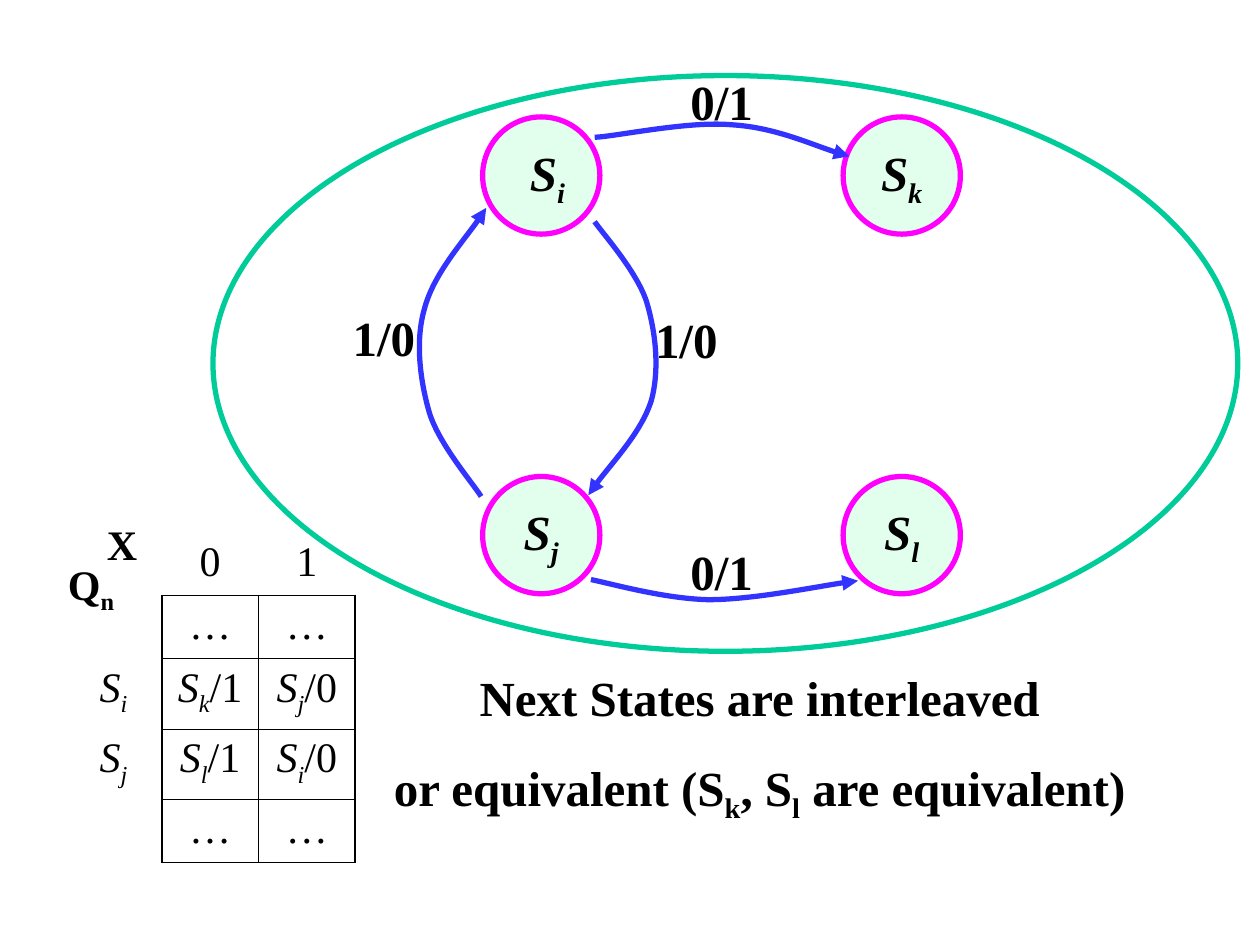
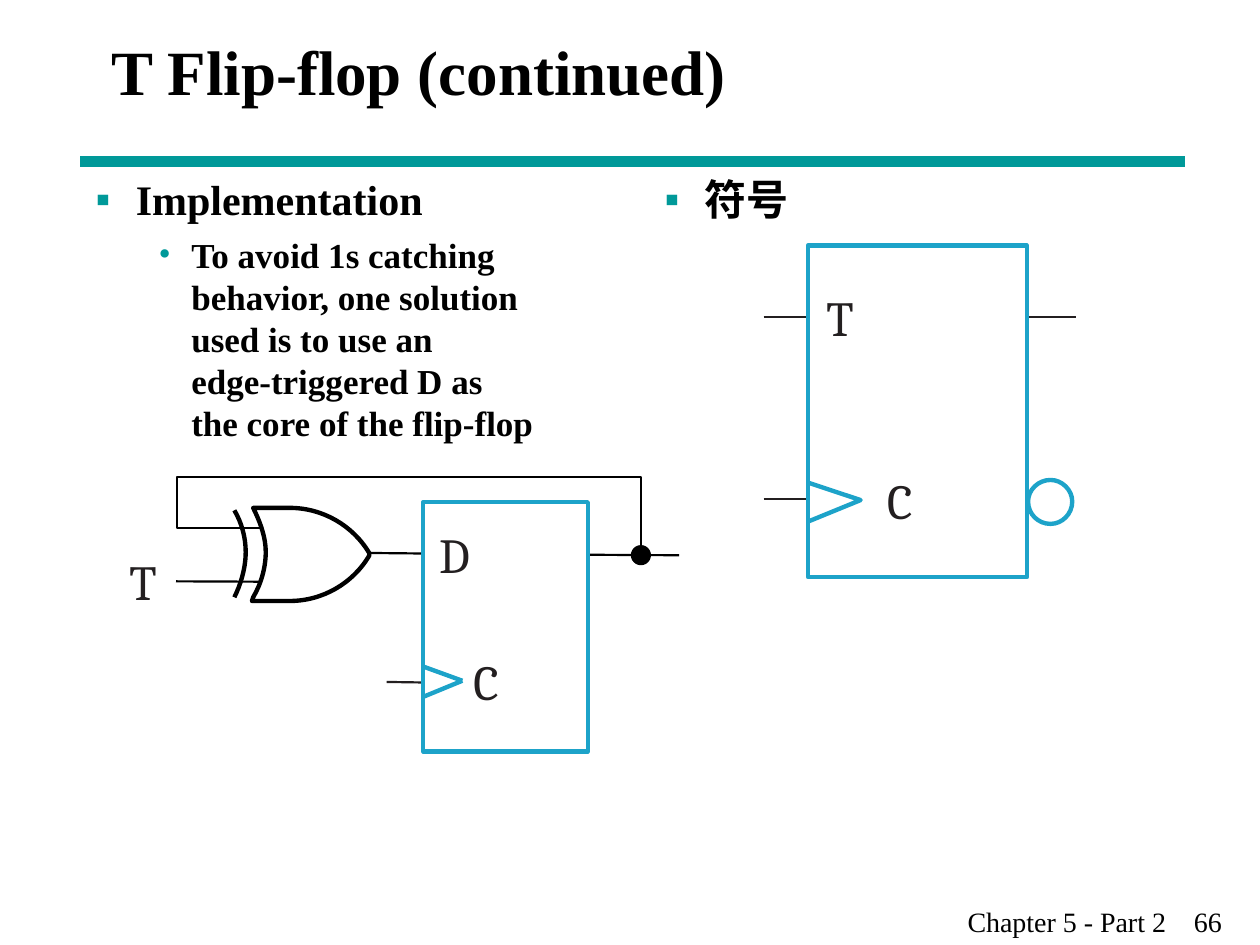
from lxml.etree import SubElement
from pptx import Presentation
from pptx.dml.color import RGBColor
from pptx.enum.shapes import MSO_CONNECTOR, MSO_SHAPE
from pptx.enum.text import MSO_ANCHOR, PP_ALIGN
from pptx.oxml.ns import qn
from pptx.util import Pt

BLACK, INK, WHITE = "000000", "231F20", "FFFFFF"
TEAL, CYAN, BLUE = "009999", "1DA3C9", "3333FF"
MAGENTA, MINT, GREEN = "FF00FF", "E2FEED", "00CC99"
SERIF, SYMBOL_FONT = "Times New Roman", "Cambria"
hex_color = RGBColor.from_string


def write(tf, text, size, bold=False, italic=False, align=None,
          font=SERIF, color=BLACK, wrap=False):
    """Fill a text frame; parts between ~ marks are subscripts."""
    tf.word_wrap = wrap
    for n, line in enumerate(text.split("\n")):
        p = tf.add_paragraph() if n else tf.paragraphs[0]
        p.alignment = align
        parts = line.split("~")
        p.text = parts[0]
        for part in parts[1:]:
            p.add_run().text = part
        for k, r in enumerate(p.runs):
            r.font.name, r.font.size = font, Pt(size)
            r.font.bold = bold
            r.font.italic = italic and not r.text.startswith("/")
            r.font.color.rgb = hex_color(color)
            if "~" in line and k % 2:
                r.font._element.set("baseline", "-25000")


def outline(s, start, segments, color, width, fill=None, arrow=False, close=False):
    """Draw a path: one point is a line, three a Bezier curve, ("move", point) a jump."""
    fb = s.shapes.build_freeform(Pt(start[0]), Pt(start[1]), scale=1.0)
    for seg in segments:
        if seg[0] == "move":
            fb.move_to(Pt(seg[1][0]), Pt(seg[1][1]))
        else:
            fb.add_line_segments([(Pt(x), Pt(y)) for x, y in seg],
                                 close=close and seg is segments[-1])
    sp = fb.convert_to_shape()
    # Join each three control points into one curve
    steps = iter(list(sp._element.iter(qn("a:lnTo"))))
    for seg in segments:
        if seg[0] == "move":
            continue
        first, *others = [next(steps) for _ in seg]
        if others:
            first.tag = qn("a:cubicBezTo")
            for step in others:
                first.append(step[0])
                step.getparent().remove(step)
    sp.shadow.inherit = False
    if fill:
        sp.fill.solid()
        sp.fill.fore_color.rgb = hex_color(fill)
    else:
        sp.fill.background()
    sp.line.color.rgb, sp.line.width = hex_color(color), Pt(width)
    if arrow:
        SubElement(sp.line._get_or_add_ln(), qn("a:tailEnd"), type="triangle")
    return sp


prs = Presentation()
prs.slide_width, prs.slide_height = Pt(720), Pt(540)

# Slide 1: state diagram
s = prs.slides.add_slide(prs.slide_layouts[6])

tf = s.shapes.add_textbox(Pt(217.4), Pt(378), Pt(433.4), Pt(96.5)).text_frame
write(tf, "Next States are interleaved\nor equivalent (S~k~, S~l~ are equivalent)",
      28, bold=True, align=PP_ALIGN.CENTER)
tf.paragraphs[1].space_before = Pt(17.5)

# States on a square grid
for n, state in enumerate([" S~i", "S~k", "S~j", "S~l"]):
    row, col = divmod(n, 2)
    sp = s.shapes.add_shape(MSO_SHAPE.OVAL, Pt(275.8 + 206 * col),
                            Pt(66.8 + 205.5 * row), Pt(67), Pt(67))
    sp.shadow.inherit = False
    sp.fill.solid()
    sp.fill.fore_color.rgb = hex_color(MINT)
    sp.line.color.rgb, sp.line.width = hex_color(MAGENTA), Pt(3)
    sp.text_frame.vertical_anchor = MSO_ANCHOR.MIDDLE
    write(sp.text_frame, state, 28, bold=True, italic=True, align=PP_ALIGN.CENTER)

# Transitions, with the rotation of each curve
transitions = [
    (0, (339.8, 126.7), [((344.9, 133.9), (363.6, 154.8), (369.4, 172.1)),
                         ((374.4, 188.6), (377.3, 210.2), (372.2, 229)),
                         ((366.5, 247), (343.4, 271.4), (336.2, 283))]),
    (0, (275, 283.7), [((270, 275.8), (251.3, 254.2), (245.5, 236.2)),
                       ((240.5, 218.9), (236.9, 195.8), (242.6, 176.4)),
                       ((247.7, 157), (270.7, 131), (277.9, 118.8))]),
    (339.2, (346.5, 53), [((358.9, 57), (399.7, 63.2), (421.8, 73.9)),
                          ((444.2, 83.9), (466.5, 106.3), (478.7, 114.8))]),
    (0, (337.7, 331.2), [((351.4, 334.1), (379.4, 342), (404.6, 342.7)),
                         ((429.8, 342.7), (475.9, 333.4), (490.3, 331.9))]),
]
for rotation, start, curves in transitions:
    sp = outline(s, start, curves, BLUE, 3, arrow=True)
    sp.rotation = rotation

# Transition labels and table corner headings
for x, y, w, text, size in [
        (367.2, 173.5, 54, "1/0", 28), (194.4, 172, 54, "1/0", 28),
        (387.4, 37.6, 54, "0/1", 28), (387.4, 306, 54, "0/1", 28),
        (31.7, 315.4, 46, "Q~n", 24), (54, 292.6, 36, "X", 24)]:
    tf = s.shapes.add_textbox(Pt(x), Pt(y), Pt(w), Pt(41)).text_frame
    write(tf, text, size, bold=True)

# Enclosing ellipse
sp = s.shapes.add_shape(MSO_SHAPE.OVAL, Pt(121.7), Pt(43.2), Pt(585.6), Pt(329))
sp.shadow.inherit = False
sp.fill.background()
sp.line.color.rgb, sp.line.width = hex_color(GREEN), Pt(3)

# State table
rows = [["", "0", "1"], ["", "…", "…"], ["S~i", "S~k~/1", "S~j~/0"],
        ["S~j", "S~l~/1", "S~i~/0"], ["", "…", "…"]]
heights = [36, 36, 40.3, 40.3, 36]
table = s.shapes.add_table(5, 3, Pt(37.2), Pt(304.2), Pt(165.9), Pt(sum(heights))).table
table.first_row = table.horz_banding = False
for col in table.columns:
    col.width = Pt(55.3)
for i, texts in enumerate(rows):
    table.rows[i].height = Pt(heights[i])
    for j, text in enumerate(texts):
        cell = table.cell(i, j)
        write(cell.text_frame, text, 24, italic=text.startswith("S"),
              align=PP_ALIGN.CENTER, wrap=True)
        tc_pr = cell._tc.get_or_add_tcPr()
        # Edge position, thin inner edges, and whether the edge is in the grid
        for tag, edge, inner, drawn in [
                ("a:lnL", j, (2,), i and j), ("a:lnR", j + 1, (2,), i),
                ("a:lnT", i, (2, 3, 4), i and j), ("a:lnB", i + 1, (2, 3, 4), j)]:
            width = 0.45 if edge in inner else 1.08
            ln = SubElement(tc_pr, qn(tag), w=str(Pt(width)))
            if drawn:
                fill = SubElement(ln, qn("a:solidFill"))
                SubElement(fill, qn("a:srgbClr"), val=BLACK)
            else:
                SubElement(ln, qn("a:noFill"))
        cell.fill.background()

# Slide 2: T flip-flop
s = prs.slides.add_slide(prs.slide_layouts[6])

# Title and footer
tf = s.shapes.add_textbox(Pt(56.4), Pt(0), Pt(612), Pt(80.6)).text_frame
tf.vertical_anchor = MSO_ANCHOR.MIDDLE
write(tf, "T Flip-flop (continued)", 36, bold=True, wrap=True)
tf = s.shapes.add_textbox(Pt(545.8), Pt(513.4), Pt(174.2), Pt(26.6)).text_frame
write(tf, "Chapter 5 - Part 2\t66", 16, wrap=True)
tabs = SubElement(tf.paragraphs[0]._p.get_or_add_pPr(), qn("a:tabLst"))
SubElement(tabs, qn("a:tab"), pos=str(Pt(129.3)), algn="l")

# Bulleted text
implementation = ("Implementation\nTo avoid 1s catching\vbehavior, one solution\v"
                  "used is to use an\vedge-triggered D as\vthe core of the flip-flop")
for x, h, text in [(47.5, 167, implementation), (372.7, 49.7, "符号")]:
    tf = s.shapes.add_textbox(Pt(x), Pt(95.8), Pt(272.9), Pt(h)).text_frame
    write(tf, text, 24, bold=True, wrap=True)
    for p, mark, left, hang, size in zip(tf.paragraphs, "▪•", (23, 54.7),
                                         (23, 18.7), (24, 20)):
        if size == 20:
            p.space_before = Pt(5)
        p_pr = p._p.get_or_add_pPr()
        p_pr.set("marL", str(Pt(left)))
        p_pr.set("indent", str(-Pt(hang)))
        SubElement(SubElement(p_pr, qn("a:buClr")), qn("a:srgbClr"), val=TEAL)
        SubElement(p_pr, qn("a:buFont"), typeface=SERIF)
        SubElement(p_pr, qn("a:buChar"), char=mark)
        for r in p.runs:
            r.font.size = Pt(size)

# XOR gate
outline(s, (144.7, 341.3), [
    ((149, 334.1), (151.9, 324.7), (151.9, 315.4)),
    ((151.9, 307.4), (149, 298.8), (144.7, 290.2)),
    ((165.6, 290.2),),
    ((184.3, 290.2), (201.6, 300.2), (211, 316)),
    ((211, 317.5),),
    ((201.6, 333.4), (184.3, 343.4), (165.6, 343.4)),
    ((144, 343.4),)], BLACK, 2.5, fill=WHITE, close=True)
outline(s, (133.9, 341.3), [
    ((137.5, 334.1), (140.4, 324.7), (140.4, 315.4)),
    ((140.4, 307.4), (138.2, 298.8), (133.9, 291.6))], BLACK, 2.5)

# Feedback wire
outline(s, (366.3, 316.8), [((366.3, 272.5),), ((101.2, 272.5),),
                            ((101.2, 301.7),), ((149.8, 301.7),)], BLACK, 1.25)

# Title rule and straight wires
for x1, y1, x2, y2, color, width in [
        (45.8, 92.2, 677, 92.2, TEAL, 6),
        (335.5, 317, 388.1, 317.3, BLACK, 1.25),
        (221, 389.7, 241.9, 390, INK, 1.25),
        (211, 316, 241.9, 316.3, BLACK, 1.25),
        (100.6, 332.2, 148.3, 332.4, BLACK, 1.25)]:
    line = s.shapes.add_connector(MSO_CONNECTOR.STRAIGHT, Pt(x1), Pt(y1), Pt(x2), Pt(y2))
    line.line.color.rgb, line.line.width = hex_color(color), Pt(width)
    SubElement(line._element.spPr, qn("a:effectLst"))

# D flip-flop body and junction dot
sp = s.shapes.add_shape(MSO_SHAPE.RECTANGLE, Pt(241.9), Pt(287), Pt(94), Pt(142.4))
sp.shadow.inherit = False
sp.fill.background()
sp.line.color.rgb, sp.line.width = hex_color(CYAN), Pt(2.5)
sp = s.shapes.add_shape(MSO_SHAPE.OVAL, Pt(360.5), Pt(311.5), Pt(11.5), Pt(11.5))
sp.shadow.inherit = False
sp.fill.solid()
sp.fill.fore_color.rgb = hex_color(BLACK)
sp.line.fill.background()

# Clock input of the D flip-flop
for y in (380.9, 398.2):
    line = s.shapes.add_connector(MSO_CONNECTOR.STRAIGHT, Pt(241.9), Pt(y),
                                  Pt(264.2), Pt(389))
    line.line.color.rgb, line.line.width = hex_color(CYAN), Pt(2.5)
    SubElement(line._element.spPr, qn("a:effectLst"))

# T flip-flop symbol: wires, then body, inverting bubble and clock input
outline(s, (436.3, 285.1), [
    ((463, 285.1),),
    ("move", (436.3, 181)), ((463, 181),),
    ("move", (587.5, 181)), ((614.9, 181),)], INK, 1.25)
outline(s, (461.7, 140.4), [
    ((461.7, 329.8),), ((586.8, 329.8),), ((586.8, 140.4),), ((461.7, 140.4),),
    ("move", (612.7, 286.6)),
    ((612.7, 293.8), (606.9, 299.4), (600.3, 299.4)),
    ((593.2, 299.4), (587.5, 293.8), (587.5, 286.6)),
    ((587.5, 280), (593.2, 274.3), (600.3, 274.3)),
    ((606.9, 274.3), (612.7, 280), (612.7, 286.6)),
    ("move", (461.7, 275.8)), ((491.8, 285.8),), ((461.7, 298.1),)], CYAN, 2.5)

# Pin labels
for x, y, text in [(270.5, 372.2, "C"), (251, 299.5, "D"), (73.9, 315.4, "T"),
                   (472.3, 164.2, "T"), (506.9, 268.6, "C")]:
    tf = s.shapes.add_textbox(Pt(x), Pt(y), Pt(22), Pt(33.8)).text_frame
    tf.margin_left = tf.margin_top = tf.margin_right = tf.margin_bottom = 0
    write(tf, text, 28, font=SYMBOL_FONT, color=INK)

prs.save("out.pptx")
